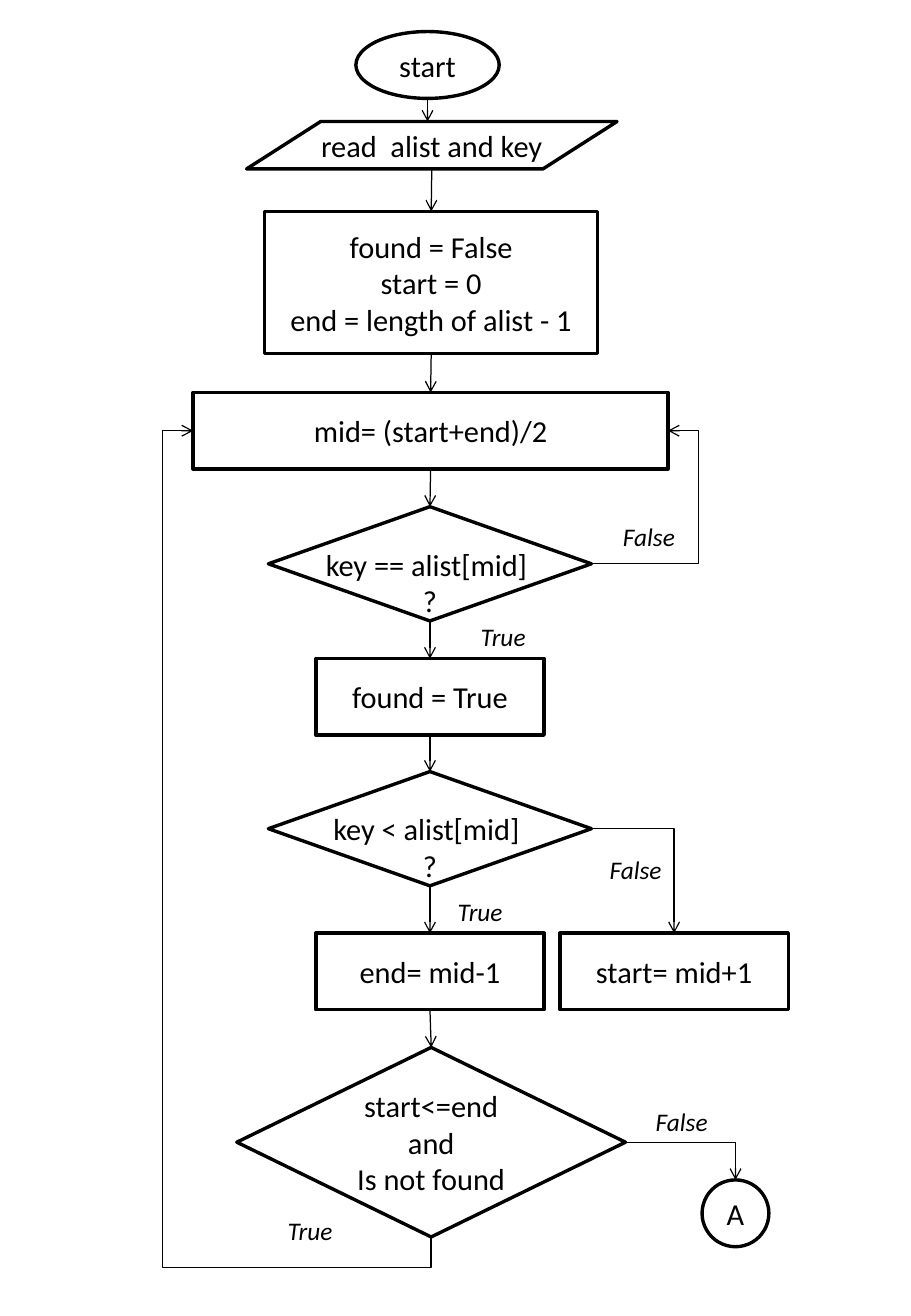
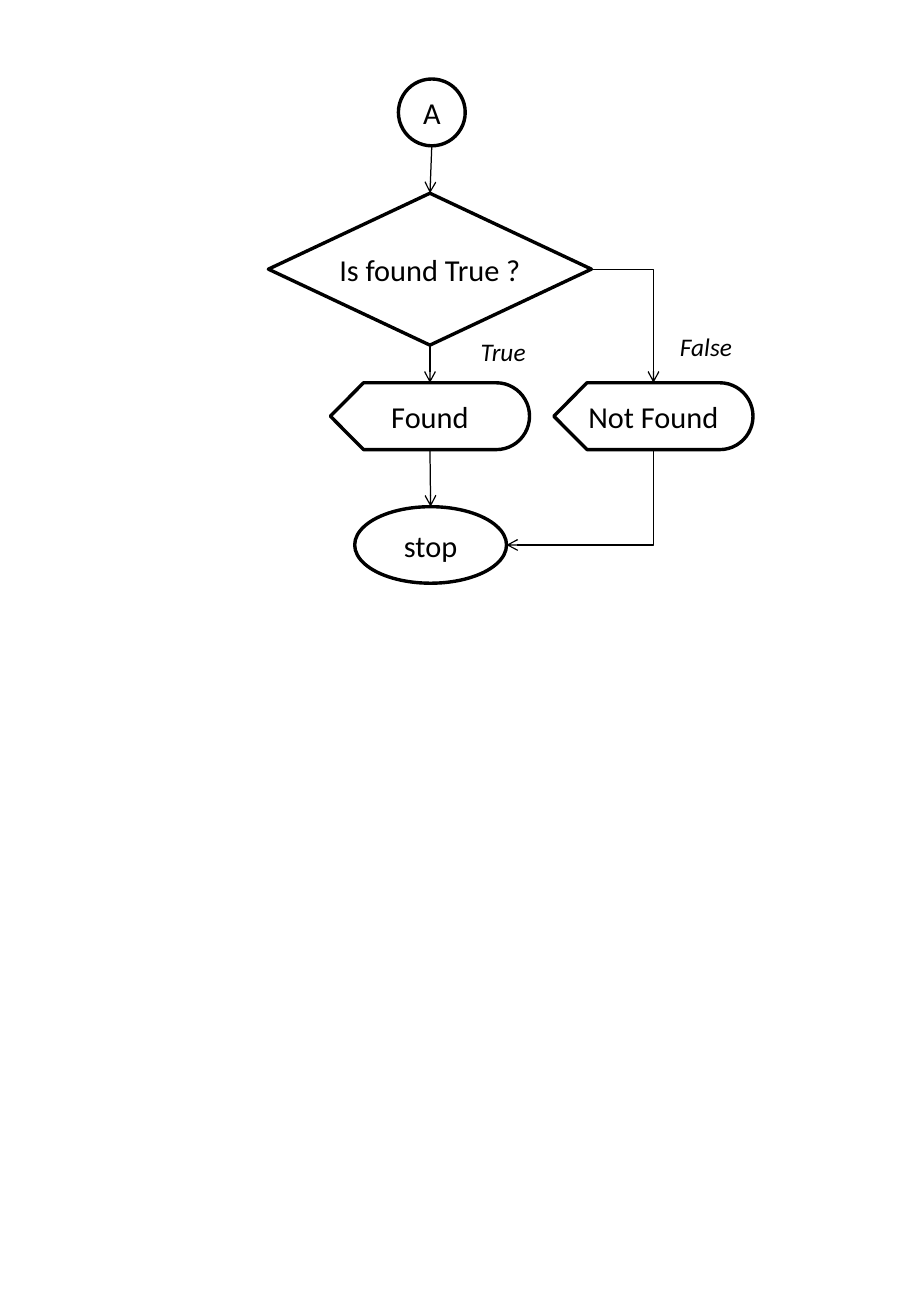
from lxml import etree
from pptx import Presentation
from pptx.dml.color import RGBColor
from pptx.enum.shapes import MSO_CONNECTOR, MSO_SHAPE
from pptx.enum.text import MSO_ANCHOR, MSO_AUTO_SIZE, PP_ALIGN
from pptx.oxml.ns import qn
from pptx.util import Pt

PX = 9144
COLORS = {"ink": "000000", "paper": "FFFFFF"}
OVAL = MSO_SHAPE.OVAL
INPUT = MSO_SHAPE.FLOWCHART_DATA
PROCESS = MSO_SHAPE.RECTANGLE
DECISION = MSO_SHAPE.FLOWCHART_DECISION
DISPLAY = MSO_SHAPE.FLOWCHART_DISPLAY
JOINT = MSO_SHAPE.FLOWCHART_CONNECTOR
STRAIGHT, ELBOW = MSO_CONNECTOR.STRAIGHT, MSO_CONNECTOR.ELBOW
MIDDLE, CENTER, LEFT_ALIGN = MSO_ANCHOR.MIDDLE, PP_ALIGN.CENTER, PP_ALIGN.LEFT
FIT = MSO_AUTO_SIZE.SHAPE_TO_FIT_TEXT
TOP, LEFT, BOTTOM, RIGHT = range(4)
ROUND = (OVAL, JOINT)
DETOUR = 25 * PX


class Flowchart:
    font = "Calibri"
    node_size, label_size = 18, 15
    node_line, arrow_line = 2, 0.75

    def __init__(self, width, height):
        self.deck = Presentation()
        self.deck.slide_width = width * PX
        self.deck.slide_height = height * PX
        self.page = None

    def color(self, name):
        return RGBColor.from_string(COLORS[name])

    def new_page(self):
        self.page = self.deck.slides.add_slide(self.deck.slide_layouts[6])

    def set_text(self, box, text, size, align, italic=False):
        frame = box.text_frame
        frame.word_wrap = False
        frame.text = text
        for para in frame.paragraphs:
            para.alignment = align
            para.font.name = self.font
            para.font.size = Pt(size)
            para.font.italic = italic
            para.font.color.rgb = self.color("ink")
        return frame

    def node(self, kind, center, top, width, height, text, lowered=0):
        box = self.page.shapes.add_shape(
            kind, (center - width // 2) * PX, top * PX, width * PX, height * PX)
        box.shadow.inherit = False
        box.fill.solid()
        box.fill.fore_color.rgb = self.color("paper")
        box.line.color.rgb = self.color("ink")
        box.line.width = Pt(self.node_line)
        frame = self.set_text(box, text, self.node_size, CENTER)
        frame.vertical_anchor = MIDDLE
        frame.margin_top = (5 + lowered) * PX
        return box

    def label(self, left, top, text):
        width = 57 if text == "True" else 64
        box = self.page.shapes.add_textbox(left * PX, top * PX, width * PX, 35 * PX)
        frame = self.set_text(box, text, self.label_size, LEFT_ALIGN, italic=True)
        frame.auto_size = FIT

    def style_arrow(self, connector):
        connector.line.color.rgb = self.color("ink")
        connector.line.width = Pt(self.arrow_line)
        properties = connector.element.spPr
        etree.SubElement(properties.find(qn("a:ln")), qn("a:tailEnd"), type="arrow")
        etree.SubElement(properties, qn("a:effectLst"))

    def join(self, connector, start, start_side, end, end_side):
        connector.begin_connect(start, start_side)
        connector.end_connect(end, end_side)
        ends = connector.element.nvCxnSpPr.cNvCxnSpPr
        if start.auto_shape_type in ROUND:
            ends.stCxn.idx = start_side * 2
        if end.auto_shape_type in ROUND:
            ends.endCxn.idx = end_side * 2

    def arrow(self, start, end):
        connector = self.page.shapes.add_connector(STRAIGHT, 0, 0, 0, 0)
        self.join(connector, start, BOTTOM, end, TOP)
        self.style_arrow(connector)

    def input_arrows(self, start, data, end):
        entry = start.left + start.width // 2
        into = self.page.shapes.add_connector(
            STRAIGHT, entry, start.top + start.height, entry, data.top)
        middle = data.left + data.width // 2
        out = self.page.shapes.add_connector(
            STRAIGHT, middle, data.top + data.height, middle, end.top)
        out.end_connect(end, TOP)
        for connector in (into, out):
            self.style_arrow(connector)

    def elbow(self, start, start_side, end, end_side, bends=2):
        connector = self.page.shapes.add_connector(ELBOW, 0, 0, 0, 0)
        self.join(connector, start, start_side, end, end_side)
        across = connector.end_x - connector.begin_x
        down = connector.end_y - connector.begin_y
        properties = connector.element.spPr
        if start_side == BOTTOM:
            middle_x = connector.begin_x + across // 2
            middle_y = connector.begin_y + down // 2
            across, down = down, -across
            connector.begin_x = middle_x - across // 2
            connector.begin_y = middle_y - down // 2
            connector.end_x = middle_x + across // 2
            connector.end_y = middle_y + down // 2
            properties.find(qn("a:xfrm")).set("rot", str(90 * 60000))
        beyond_x, beyond_y = DETOUR / abs(across), DETOUR / abs(down)
        adjustments = {2: [], 3: [1 + beyond_x], 4: [-beyond_x, 1 + beyond_y]}[bends]
        geometry = properties.find(qn("a:prstGeom"))
        geometry.set("prst", f"bentConnector{bends}")
        guides = geometry.find(qn("a:avLst"))
        if guides is None:
            guides = etree.SubElement(geometry, qn("a:avLst"))
        for number, value in enumerate(adjustments, 1):
            etree.SubElement(guides, qn("a:gd"), name=f"adj{number}",
                             fmla=f"val {round(value * 100000)}")
        self.style_arrow(connector)


def search_page(chart):
    chart.new_page()
    start = chart.node(OVAL, 352, 26, 118, 55, "start")
    read = chart.node(INPUT, 355, 100, 305, 39, "read  alist and key")
    setup = chart.node(PROCESS, 355, 174, 274, 117,
                       "found = False\nstart = 0\nend = length of alist - 1")
    middle = chart.node(PROCESS, 354, 323, 391, 63, "mid= (start+end)/2")
    equal = chart.node(DECISION, 354, 417, 266, 94, "key == alist[mid] \n?", lowered=30)
    found = chart.node(PROCESS, 354, 542, 188, 63, "found = True")
    less = chart.node(DECISION, 354, 635, 266, 94, "key < alist[mid] \n?", lowered=30)
    move_end = chart.node(PROCESS, 354, 768, 188, 63, "end= mid-1")
    move_start = chart.node(PROCESS, 555, 768, 188, 63, "start= mid+1")
    again = chart.node(DECISION, 355, 862, 320, 156, "start<=end\nand\nIs not found")
    joint = chart.node(JOINT, 605, 971, 55, 55, "A")

    chart.input_arrows(start, read, setup)
    steps = [setup, middle, equal, found, less, move_end, again]
    for upper, lower in zip(steps, steps[1:]):
        chart.arrow(upper, lower)
    chart.elbow(equal, RIGHT, middle, RIGHT, bends=3)
    chart.elbow(less, RIGHT, move_start, TOP)
    chart.elbow(again, BOTTOM, middle, LEFT, bends=4)
    chart.elbow(again, RIGHT, joint, TOP)
    for left, top, text in [
        (503, 424, "False"), (386, 506, "True"), (492, 698, "False"),
        (367, 733, "True"), (227, 995, "True"), (530, 905, "False"),
    ]:
        chart.label(left, top, text)


def result_page(chart):
    chart.new_page()
    joint = chart.node(JOINT, 355, 65, 55, 55, "A")
    check = chart.node(DECISION, 354, 159, 266, 125, "Is found True ?")
    found = chart.node(DISPLAY, 354, 315, 164, 55, "Found")
    missing = chart.node(DISPLAY, 538, 315, 164, 55, "Not Found")
    stop = chart.node(OVAL, 354, 417, 125, 63, "stop")

    steps = [joint, check, found, stop]
    for upper, lower in zip(steps, steps[1:]):
        chart.arrow(upper, lower)
    chart.elbow(check, RIGHT, missing, TOP)
    chart.elbow(missing, BOTTOM, stop, RIGHT)
    chart.label(386, 272, "True")
    chart.label(550, 268, "False")


def main():
    chart = Flowchart(750, 1083)
    search_page(chart)
    result_page(chart)
    chart.deck.save("out.pptx")


if __name__ == "__main__":
    main()
